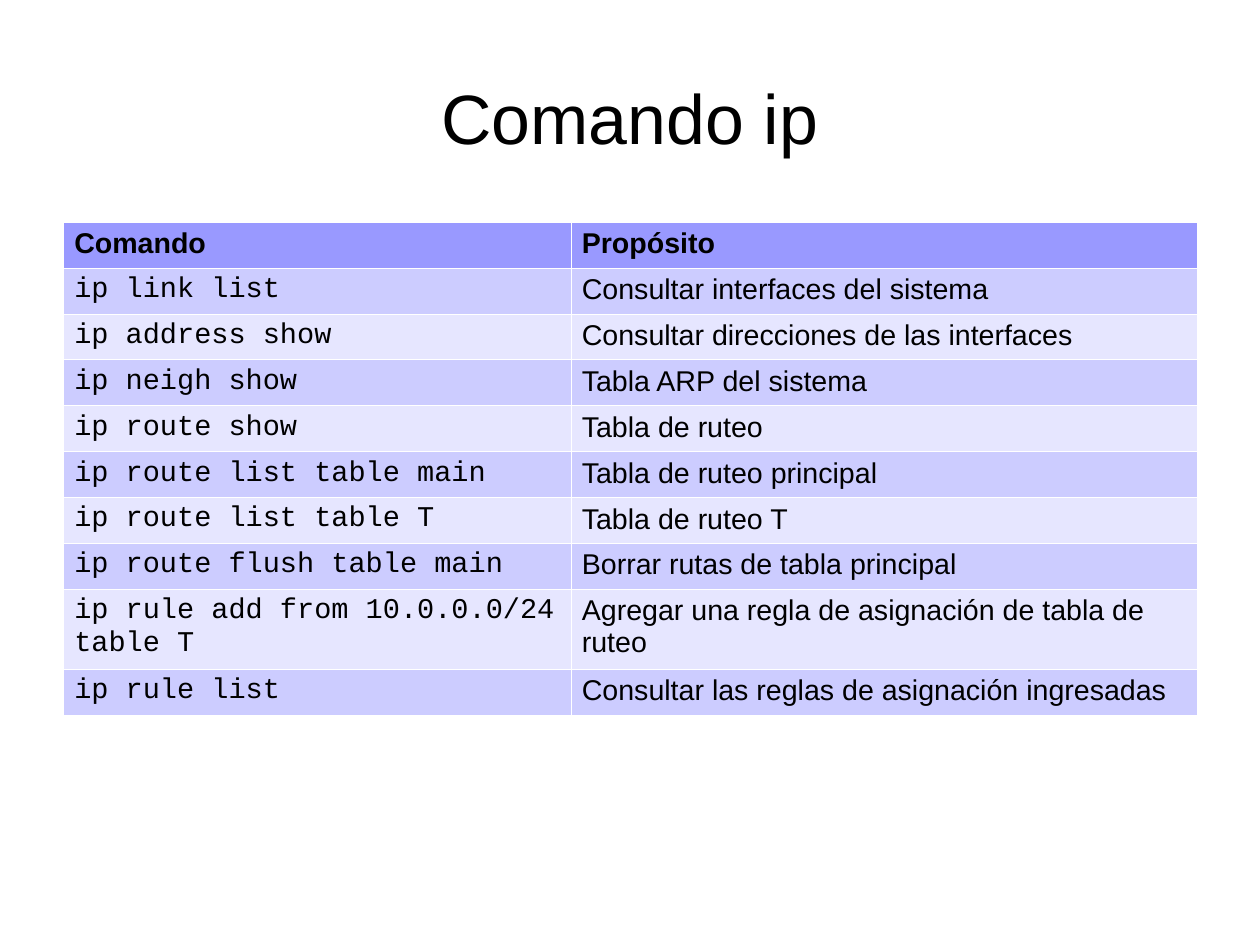
from dataclasses import dataclass

from lxml.etree import SubElement
from pptx import Presentation
from pptx.dml.color import RGBColor as Rgb
from pptx.enum.text import MSO_ANCHOR as Anchor, PP_ALIGN as Align
from pptx.oxml.ns import qn
from pptx.util import Cm, Pt


@dataclass(frozen=True)
class Theme:
    text: str = "000000"
    border: str = "FFFFFF"
    header: str = "9999FF"
    bands: tuple = ("CCCCFF", "E6E6FF")
    body_font: str = "Arial"
    code_font: str = "Courier New"
    title_size: int = 44
    table_size: int = 18
    border_width: float = 0.06


HEADINGS = ("Comando", "Propósito")
COMMANDS = [
    ("ip link list", "Consultar interfaces del sistema"),
    ("ip address show", "Consultar direcciones de las interfaces"),
    ("ip neigh show", "Tabla ARP del sistema"),
    ("ip route show", "Tabla de ruteo"),
    ("ip route list table main", "Tabla de ruteo principal"),
    ("ip route list table T", "Tabla de ruteo T"),
    ("ip route flush table main", "Borrar rutas de tabla principal"),
    ("ip rule add from 10.0.0.0/24 table T",
     "Agregar una regla de asignación de tabla de ruteo"),
    ("ip rule list", "Consultar las reglas de asignación ingresadas"),
]
LEFT, WIDTH = Cm(1.4), Cm(25.2)
COLUMN_WIDTHS = (Cm(11.28), Cm(13.92))
ROW_HEIGHT, TWO_LINE_HEIGHT = Cm(1.02), Cm(1.78)
TWO_LINE_ROW = 8


def write_text(frame, text, *, font, size, color, bold=False, align=Align.LEFT):
    paragraph = frame.paragraphs[0]
    paragraph.alignment = align
    run = paragraph.add_run()
    run.text = text
    run.font.name = font
    run.font.size = Pt(size)
    run.font.bold = bold
    run.font.color.rgb = Rgb.from_string(color)


class SlideBuilder:
    def __init__(self, slide, theme):
        self.slide = slide
        self.theme = theme

    def title(self, text):
        title = self.slide.shapes.title
        title.left, title.top, title.width, title.height = LEFT, Cm(0.84), WIDTH, Cm(3.5)
        frame = title.text_frame
        frame.margin_left = frame.margin_right = 0
        frame.margin_top = frame.margin_bottom = 0
        frame.vertical_anchor = Anchor.MIDDLE
        write_text(frame, text, font=self.theme.body_font, size=self.theme.title_size,
                   color=self.theme.text, align=Align.CENTER)

    def borders(self, cell):
        properties = cell._tc.get_or_add_tcPr()
        for side in ("lnL", "lnR", "lnT", "lnB"):
            line = SubElement(properties, qn(f"a:{side}"), w=str(Pt(self.theme.border_width)))
            fill = SubElement(line, qn("a:solidFill"))
            SubElement(fill, qn("a:srgbClr"), val=self.theme.border)

    def cell(self, cell, text, fill, font, bold):
        self.borders(cell)
        cell.fill.solid()
        cell.fill.fore_color.rgb = Rgb.from_string(fill)
        cell.margin_left = cell.margin_right = Cm(0.25)
        cell.margin_top = cell.margin_bottom = Cm(0.13)
        write_text(cell.text_frame, text, font=font, size=self.theme.table_size,
                   color=self.theme.text, bold=bold)

    def command_table(self, headings, commands):
        theme = self.theme
        rows = [headings, *commands]
        table = self.slide.shapes.add_table(
            len(rows), len(headings), LEFT, Cm(4.93), WIDTH, ROW_HEIGHT * len(rows)).table
        for column, width in zip(table.columns, COLUMN_WIDTHS):
            column.width = width
        for r, texts in enumerate(rows):
            is_header = r == 0
            table.rows[r].height = TWO_LINE_HEIGHT if r == TWO_LINE_ROW else ROW_HEIGHT
            fill = theme.header if is_header else theme.bands[(r - 1) % 2]
            for c, text in enumerate(texts):
                is_code = c == 0 and not is_header
                font = theme.code_font if is_code else theme.body_font
                self.cell(table.cell(r, c), text, fill, font, is_header)


def main():
    deck = Presentation()
    deck.slide_width, deck.slide_height = Cm(28), Cm(21)
    title_only = deck.slide_layouts[5]
    builder = SlideBuilder(deck.slides.add_slide(title_only), Theme())

    # Heading
    builder.title("Comando ip")

    # Commands and their purpose
    builder.command_table(HEADINGS, COMMANDS)

    deck.save("out.pptx")


if __name__ == "__main__":
    main()
